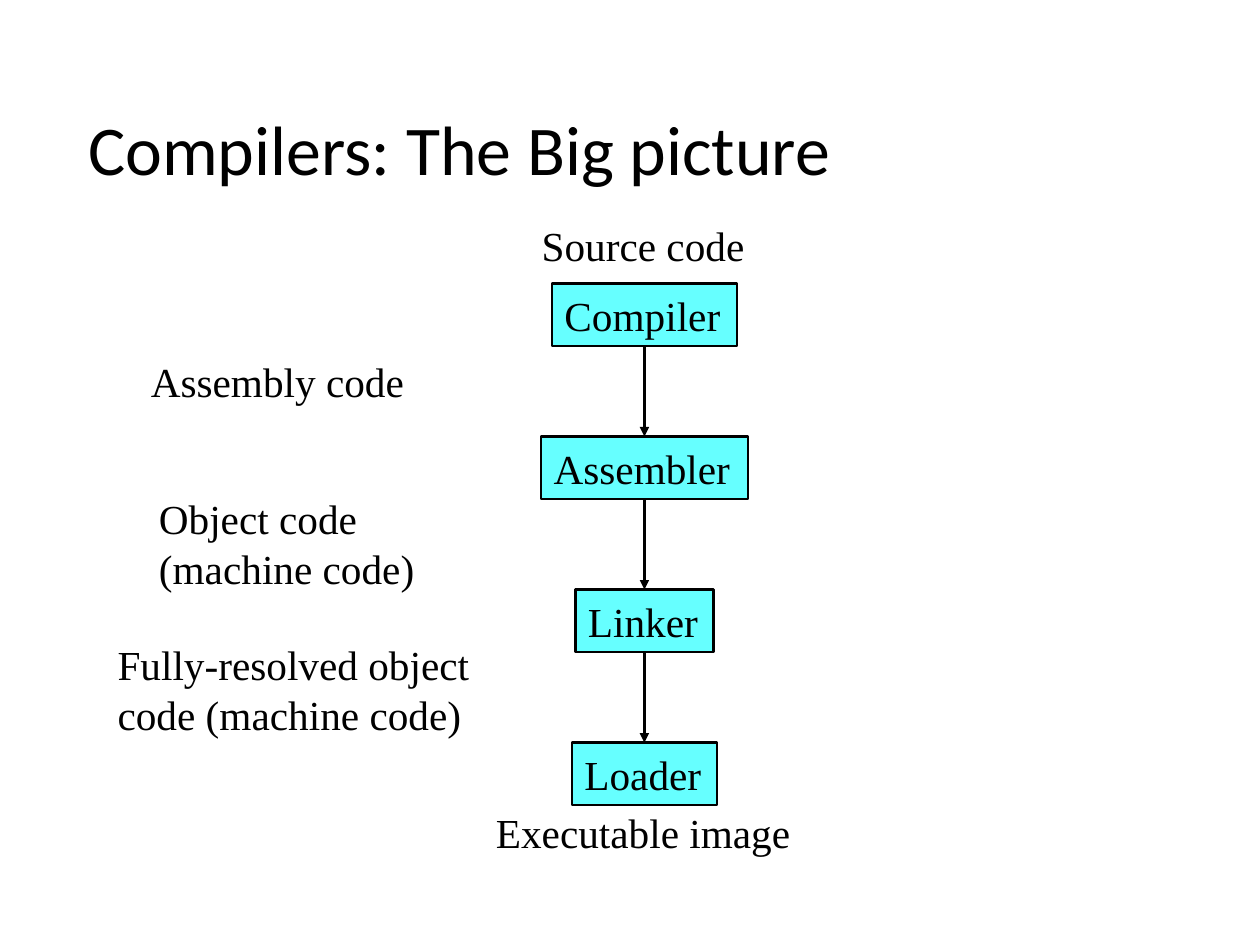
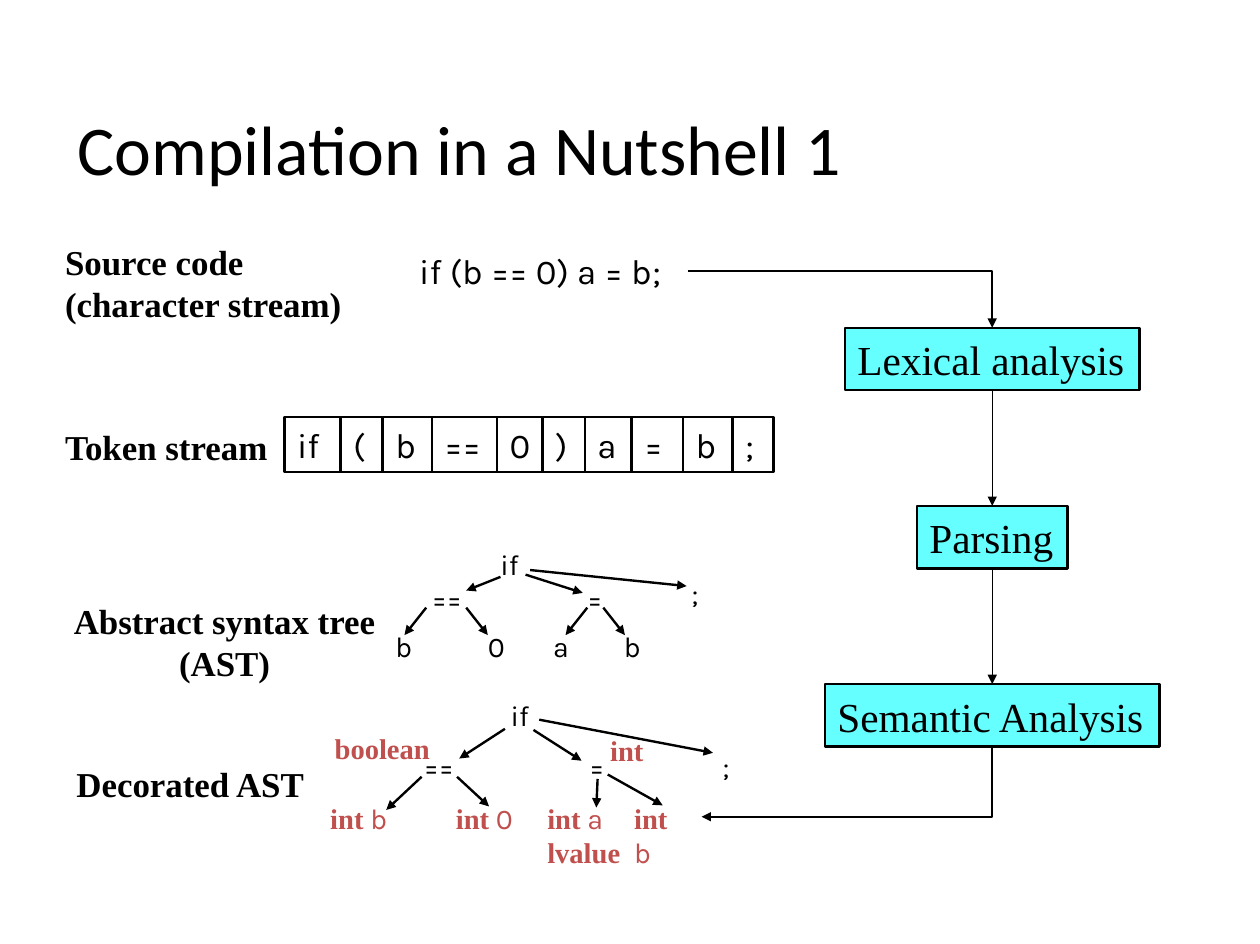
from lxml.etree import SubElement
from pptx import Presentation
from pptx.dml.color import RGBColor
from pptx.enum.shapes import MSO_CONNECTOR, MSO_SHAPE
from pptx.enum.text import MSO_ANCHOR, MSO_AUTO_SIZE, PP_ALIGN
from pptx.oxml.ns import qn
from pptx.util import Pt

BLACK, CYAN, RED = "000000", "66FFFF", "C0504D"
SERIF, CODE_FONT = "Times New Roman", "Karla"
INSET_X, INSET_Y, LINE_HEIGHT = 7.9, 4, 1.21

# Text styles: size, font, colour, bold
STAGE = (26, SERIF, BLACK, False)
LABEL = (22, SERIF, BLACK, True)
CODE = (22, CODE_FONT, BLACK, False)
NODE = (18, CODE_FONT, BLACK, False)
TYPE = (18, SERIF, RED, True)
TYPED = (18, CODE_FONT, RED, False)

# Stages: name, width
TOOLS = [("Compiler", 116.6), ("Assembler", 130.3), ("Linker", 87.1), ("Loader", 91.4)]
PHASES = [("Lexical analysis", 185.8), ("Parsing", 95), ("Semantic Analysis", 211)]

# Texts: lines, left, top, width
TOOL_NOTES = [
    (["Source code"], 333.4, 134.6, 146.2),
    (["Assembly code"], 87.1, 220.3, 178.6),
    (["Object code", "(machine code)"], 92.2, 306.7, 178.6),
    (["Fully-resolved object", "code (machine code)"], 66.2, 398.9, 239.8),
    (["Executable image"], 304.6, 504.7, 204.5),
]
FORMS = [
    (["Source code", "(character stream)"], 33.1, 147.6, 192.2),
    (["Token stream"], 33.1, 264.2, 146.2),
    (["Decorated AST"], 40.3, 476.6, 161.3),
]
AST_FORM = (["Abstract syntax tree", "(AST)"], 38.2, 373.7, 206.6)
STATEMENT = (["if (b == 0) a = b;"], 256.3, 153.4, 177.1)

TOKENS = [("if", 35.3), ("(", 26.6), ("b", 31), ("==", 41), ("0", 28.8),
          (")", 26.6), ("a", 29.5), ("=", 32.4), ("b", 31), (";", 25.9)]
TOKEN_LEFT, TOKEN_TOP = 179.3, 262.8

NODES = [
    (["if"], 307.4, 340.6, 28), (["=="], 264.2, 362.2, 35.3),
    (["="], 362.2, 362.2, 25.9), ([";"], 427.7, 358.6, 23),
    (["b"], 241.2, 392.4, 25.9), (["0"], 299.5, 392.4, 25.9),
    (["a"], 340.6, 392.4, 25.9), (["b"], 385.2, 392.4, 25.9),
    (["if"], 313.9, 435.6, 28), (["=="], 259.2, 468, 35.3),
    (["="], 363.6, 468, 25.9), ([";"], 447.1, 468, 23),
]
TYPES = [
    (["boolean"], 203, 456.5, 76.3),
    (["int"], 376.6, 457.9, 37.4),
    ([[("int", TYPE), (" b", TYPED)]], 200.2, 500.4, 52.6),
    ([[("int", TYPE), (" 0", TYPED)]], 279.4, 500.4, 52.6),
    ([[("int", TYPE), (" a", TYPED)], "lvalue"], 337, 500.4, 62.6),
    (["int", [("b", TYPED)]], 391.7, 500.4, 37.4),
]
# Tree edges: start x, start y, end x, end y
EDGES = [
    (315.4, 363.6, 293.8, 372.2), (331.2, 362.2, 367.2, 373.7),
    (334.1, 359.3, 432.7, 369.4), (268.6, 383, 254.9, 400.3),
    (293.8, 383, 307.4, 400.3), (370.1, 383, 356.4, 400.3),
    (380.2, 383, 393.8, 400.3),
    (318.2, 459.4, 289.4, 478.1), (336.2, 460.1, 366.5, 479.5),
    (339.8, 453.6, 449.3, 474.5), (265.7, 489.6, 243.4, 510.5),
    (288, 489.6, 308.2, 508.3), (376.6, 491, 375.8, 509),
    (383, 488.2, 417.6, 507.6),
]
RESULT_END = (442.1, 514.8)


def rgb(value):
    return RGBColor.from_string(value)


def add_run(p, text, style):
    r = p.add_run()
    r.text = text
    size, r.font.name, color, r.font.bold = style
    r.font.size = Pt(size)
    r.font.color.rgb = rgb(color)


def text_height(lines, style):
    return len(lines) * style[0] * LINE_HEIGHT + 2 * INSET_Y


def fill_text(sp, lines, style, align=PP_ALIGN.LEFT, wrap=False):
    """Write each line as a paragraph; a line is a string or a list of runs."""
    tf = sp.text_frame
    tf.word_wrap = wrap
    tf.auto_size = MSO_AUTO_SIZE.SHAPE_TO_FIT_TEXT
    tf.vertical_anchor = MSO_ANCHOR.TOP
    tf.margin_left = tf.margin_right = Pt(INSET_X)
    tf.margin_top = tf.margin_bottom = Pt(INSET_Y)
    for i, line in enumerate(lines):
        p = tf.add_paragraph() if i else tf.paragraphs[0]
        p.alignment = align
        p.line_spacing = Pt(round(style[0] * LINE_HEIGHT, 1))
        for text, run_style in [(line, style)] if isinstance(line, str) else line:
            add_run(p, text, run_style)


def add_text(s, item, style, align=PP_ALIGN.LEFT):
    lines, x, y, w = item
    sp = s.shapes.add_textbox(Pt(x), Pt(y), Pt(w), Pt(text_height(lines, style)))
    fill_text(sp, lines, style, align)
    return sp


def add_box(s, text, x, y, w, style, fill=None, wrap=False):
    sp = s.shapes.add_shape(MSO_SHAPE.RECTANGLE, Pt(x), Pt(y), Pt(w),
                            Pt(text_height([text], style)))
    sp.shadow.inherit = False
    if fill:
        sp.fill.solid()
        sp.fill.fore_color.rgb = rgb(fill)
    else:
        sp.fill.background()
    sp.line.color.rgb = rgb(BLACK)
    sp.line.width = Pt(1.5)
    fill_text(sp, [text], style, wrap=wrap)
    return sp


def add_arrow(s, x1=0, y1=0, x2=0, y2=0, width=1.5, kind=MSO_CONNECTOR.STRAIGHT):
    c = s.shapes.add_connector(kind, Pt(x1), Pt(y1), Pt(x2), Pt(y2))
    c.line.color.rgb = rgb(BLACK)
    c.line.width = Pt(width)
    SubElement(c.line._get_or_add_ln(), qn("a:tailEnd"), type="triangle")
    SubElement(c._element.spPr, qn("a:effectLst"))
    return c


def add_elbow(s):
    """Add an arrow with a single right-angle turn."""
    c = add_arrow(s, kind=MSO_CONNECTOR.ELBOW)
    c._element.spPr.find(qn("a:prstGeom")).set("prst", "bentConnector2")
    return c


def turn_down_first(c):
    """Let an elbow that runs to the lower left go down before it goes left."""
    w, h = c.height, c.width
    left, top = c.left + (h - w) // 2, c.top + (w - h) // 2
    c.left, c.top, c.width, c.height = left, top, w, h
    xfrm = c._element.spPr.find(qn("a:xfrm"))
    xfrm.attrib.pop("flipH", None)
    xfrm.set("rot", "5400000")


def add_chain(s, stages, center, top, step, width):
    """Stack centred boxes and join each to the next with an arrow."""
    boxes = [add_box(s, name, center - w / 2, top + i * step, w, STAGE, CYAN)
             for i, (name, w) in enumerate(stages)]
    for upper, lower in zip(boxes, boxes[1:]):
        c = add_arrow(s, width=width)
        c.begin_connect(upper, 2)
        c.end_connect(lower, 0)
    return boxes


def add_slide(prs, title):
    s = prs.slides.add_slide(prs.slide_layouts[5])
    sp = s.shapes.title
    sp.left, sp.top, sp.width, sp.height = Pt(28.8), Pt(30.2), Pt(522), Pt(126)
    sp.text_frame.vertical_anchor = MSO_ANCHOR.MIDDLE
    p = sp.text_frame.paragraphs[0]
    p.alignment = PP_ALIGN.CENTER
    add_run(p, title, (44, "Calibri", BLACK, False))
    return s


def build_big_picture(prs):
    s = add_slide(prs, "Compilers: The Big picture")
    for note in TOOL_NOTES:
        add_text(s, note, STAGE)
    add_chain(s, TOOLS, 406.1, 178.6, 96.5, 1.5)


def build_nutshell(prs):
    s = add_slide(prs, "Compilation in a Nutshell 1")
    for form in FORMS:
        add_text(s, form, LABEL)
    add_text(s, AST_FORM, LABEL, PP_ALIGN.CENTER)
    statement = add_text(s, STATEMENT, CODE)
    x = TOKEN_LEFT
    for token, w in TOKENS:
        add_box(s, token, x, TOKEN_TOP, w, CODE, wrap=True)
        x += w
    for items, style in ((NODES, NODE), (TYPES, TYPE)):
        for item in items:
            add_text(s, item, style)
    for edge in EDGES:
        add_arrow(s, *edge)

    phases = add_chain(s, PHASES, 625.3, 206.6, 112.3, 0.75)
    c = add_elbow(s)
    c.begin_connect(statement, 3)
    c.end_connect(phases[0], 0)
    c = add_elbow(s)
    c.begin_connect(phases[-1], 2)
    c.end_x, c.end_y = [Pt(v) for v in RESULT_END]
    turn_down_first(c)


def main():
    prs = Presentation()
    prs.slide_width, prs.slide_height = Pt(794), Pt(595)
    build_big_picture(prs)
    build_nutshell(prs)
    prs.save("out.pptx")


if __name__ == "__main__":
    main()
